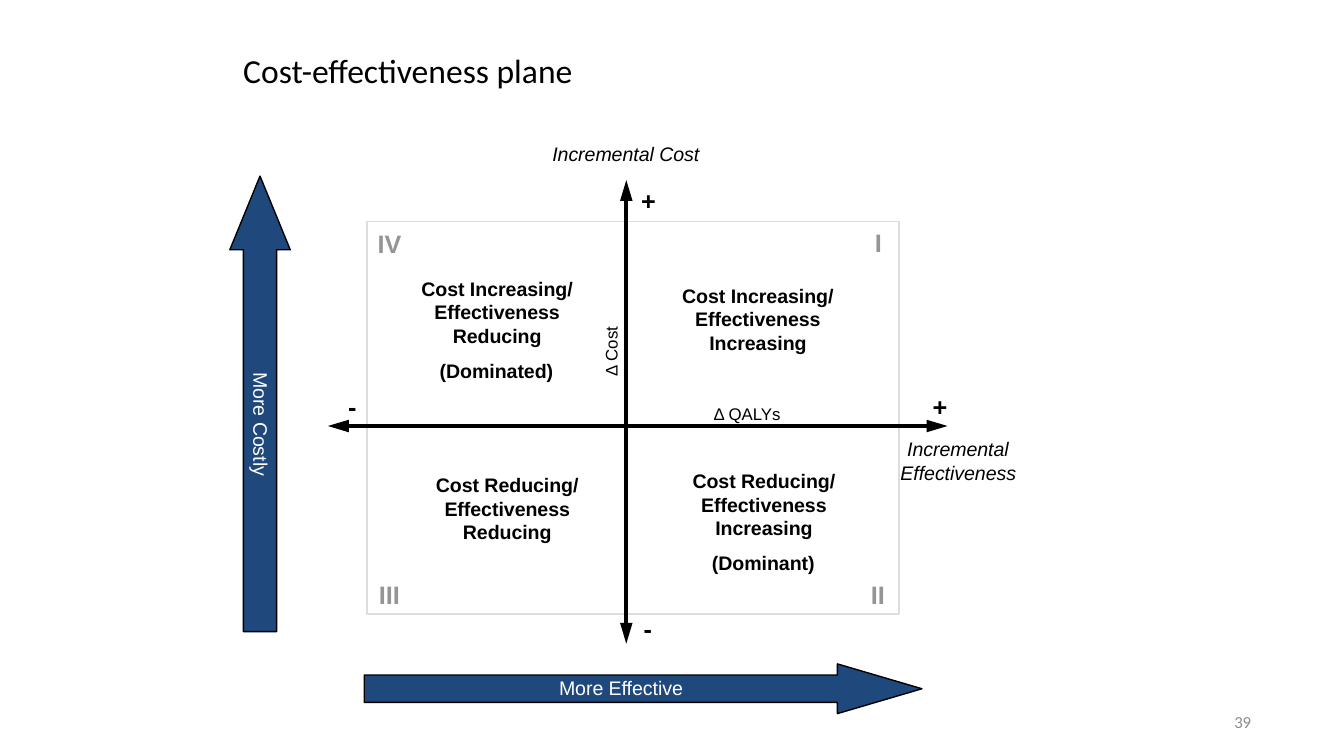
import dataclasses

import lxml.etree
import pptx
import pptx.dml.color
import pptx.enum.shapes
import pptx.enum.text
import pptx.oxml.ns
import pptx.util

Inches = pptx.util.Inches
Align = pptx.enum.text.PP_ALIGN
Shape = pptx.enum.shapes.MSO_SHAPE


@dataclasses.dataclass(frozen=True)
class Style:
    """Look of one kind of text."""
    size: float
    color: str = "000000"
    bold: bool = False
    italic: bool = False
    font: str = "Arial"


@dataclasses.dataclass(frozen=True)
class Theme:
    """Colours, line widths and text styles of the slide."""
    ink: str = "000000"
    frame: str = "DDDDDD"
    arrow: str = "1F487C"
    thin: float = 0.75
    axis: float = 2.25
    title: Style = Style(18, font="Calibri")
    page: Style = Style(9, "8C8C8C", font="Calibri")
    sign: Style = Style(13.5, bold=True)
    numeral: Style = Style(13.5, "959595", bold=True)
    outcome: Style = Style(10.5, bold=True)
    axis_name: Style = Style(10.5, italic=True)
    delta: Style = Style(9)
    direction: Style = Style(10.5, "FFFFFF")


@dataclasses.dataclass(frozen=True)
class Box:
    """Rectangle in inches."""
    left: float
    top: float
    width: float
    height: float

    def inner(self, x, y, width, height):
        """Return a box placed relative to this one."""
        return Box(self.left + x, self.top + y, width, height)

    def lengths(self):
        """Return the four lengths for a shape call."""
        return [Inches(value) for value in dataclasses.astuple(self)]


@dataclasses.dataclass(frozen=True)
class Line:
    """One paragraph with its style, spacing and indents."""
    text: str
    style: Style
    before: float = 1.1
    left: float = 0.01
    first: float = 0
    align: Align = Align.LEFT


THEME = Theme()


def rgb(color):
    """Turn a hex string into a colour."""
    return pptx.dml.color.RGBColor.from_string(color)


def write(frame, lines, anchor=pptx.enum.text.MSO_ANCHOR.TOP, inset=0.01):
    """Fill a text frame with formatted paragraphs."""
    frame.text = "\n".join(line.text for line in lines)
    frame.word_wrap = True
    frame.vertical_anchor = anchor
    frame.margin_left = frame.margin_right = frame.margin_bottom = 0
    frame.margin_top = Inches(inset)
    for paragraph, line in zip(frame.paragraphs, lines):
        paragraph.alignment = line.align
        paragraph.space_before = pptx.util.Pt(line.before)
        indents = paragraph._p.get_or_add_pPr()
        indents.set("marL", str(Inches(line.left)))
        indents.set("indent", str(Inches(line.first)))
        for run in paragraph.runs:
            run.font.name = line.style.font
            run.font.size = pptx.util.Pt(line.style.size)
            run.font.bold = line.style.bold
            run.font.italic = line.style.italic
            run.font.color.rgb = rgb(line.style.color)


def add_label(slide, box, *lines, vert=None):
    """Add a text box, turned sideways when vert is given."""
    frame = slide.shapes.add_textbox(*box.lengths()).text_frame
    write(frame, lines, inset=0 if vert else 0.01)
    if vert:
        frame._txBody.bodyPr.set("vert", vert)


def add_axis(slide, box):
    """Draw a double-headed axis from one corner of the box to the other."""
    axis = slide.shapes.add_connector(
        pptx.enum.shapes.MSO_CONNECTOR.STRAIGHT,
        Inches(box.left), Inches(box.top),
        Inches(box.left + box.width), Inches(box.top + box.height))
    axis.line.color.rgb = rgb(THEME.ink)
    axis.line.width = pptx.util.Pt(THEME.axis)
    properties = axis._element.spPr
    outline = properties.find(pptx.oxml.ns.qn("a:ln"))
    for end in ("a:headEnd", "a:tailEnd"):
        lxml.etree.SubElement(outline, pptx.oxml.ns.qn(end), type="triangle", w="med", len="lg")
    lxml.etree.SubElement(properties, pptx.oxml.ns.qn("a:effectLst"))


def add_title(slide, box):
    """Place the slide title."""
    title = slide.shapes.title
    title.left, title.top, title.width, title.height = box.lengths()
    write(title.text_frame, [Line("Cost-effectiveness plane", THEME.title, 1)],
          pptx.enum.text.MSO_ANCHOR.MIDDLE)


def add_plane(slide, box):
    """Draw the framed plane with its axes, signs and quadrants."""
    frame = slide.shapes.add_shape(Shape.RECTANGLE, *box.lengths())
    frame.shadow.inherit = False
    frame.fill.background()
    frame.line.color.rgb = rgb(THEME.frame)
    frame.line.width = pptx.util.Pt(THEME.thin)

    add_axis(slide, box.inner(-0.29, 1.52, 4.61, 0))
    add_axis(slide, box.inner(1.93, -0.31, 0, 3.45))

    add_label(slide, box.inner(3.96, 1.25, 0.9, 0.72),
              Line("+", THEME.sign, left=0.25),
              Line("Incremental Effectiveness", THEME.axis_name, 8.4, first=0.05))
    add_label(slide, box.inner(1.37, -0.6, 1.13, 0.57),
              Line("Incremental Cost", THEME.axis_name),
              Line("+", THEME.sign, 10.2, 0.67))
    for x, y in ((2.05, 2.9), (-0.15, 1.25)):
        add_label(slide, box.inner(x, y, 0.09, 0.25), Line("-", THEME.sign))

    quadrants = (
        ("I", (3.77, 0.03, 0.08), (2.32, 0.45, 1.17), "Cost Increasing/ Effectiveness Increasing", None),
        ("II", (3.74, 2.65, 0.13), (2.4, 1.83, 1.1), "Cost Reducing/ Effectiveness Increasing", "(Dominant)"),
        ("III", (0.08, 2.65, 0.18), (0.49, 1.86, 1.1), "Cost Reducing/ Effectiveness Reducing", None),
        ("IV", (0.07, 0.04, 0.2), (0.38, 0.4, 1.17), "Cost Increasing/ Effectiveness Reducing", "(Dominated)"),
    )
    for numeral, numeral_place, outcome_place, outcome, verdict in quadrants:
        add_label(slide, box.inner(*numeral_place, 0.25), Line(numeral, THEME.numeral))
        lines = [Line(outcome, THEME.outcome, align=Align.CENTER)]
        if verdict:
            lines.append(Line(verdict, THEME.outcome, 6.3, 0, align=Align.CENTER))
        add_label(slide, box.inner(*outcome_place, 0.82 if verdict else 0.55), *lines)

    add_label(slide, box.inner(1.74, 0.75, 0.17, 0.41),
              Line("Δ Cost", THEME.delta, 0.1), vert="vert270")
    add_label(slide, box.inner(2.57, 1.34, 0.54, 0.18), Line("Δ QALYs", THEME.delta, 1))


def add_direction(slide, box, kind, shaft, head, text, place, vert=None):
    """Draw a block arrow with its caption."""
    arrow = slide.shapes.add_shape(kind, *box.lengths())
    arrow.adjustments[0] = shaft
    arrow.adjustments[1] = head
    arrow.shadow.inherit = False
    arrow.fill.solid()
    arrow.fill.fore_color.rgb = rgb(THEME.arrow)
    arrow.line.color.rgb = rgb(THEME.ink)
    arrow.line.width = pptx.util.Pt(THEME.thin)
    add_label(slide, box.inner(*place), Line(text, THEME.direction), vert=vert)


def add_page_number(slide, box):
    """Write the page number at the right edge of the box."""
    frame = slide.shapes.add_textbox(*box.lengths()).text_frame
    write(frame, [Line("39", THEME.page, 0, 0.04, align=Align.RIGHT)],
          pptx.enum.text.MSO_ANCHOR.MIDDLE, 0)


def main():
    """Build and save the slide."""
    deck = pptx.Presentation()
    deck.slide_width = Inches(10)
    deck.slide_height = deck.slide_width * 9 // 16
    slide = deck.slides.add_slide(deck.slide_layouts.get_by_name("Title Only"))
    add_title(slide, Box(1.8, 0.35, 2.97, 0.33))
    add_plane(slide, Box(2.73, 1.65, 3.96, 2.92))
    add_direction(slide, Box(1.71, 1.31, 0.45, 3.39), Shape.UP_ARROW, 0.55, 1.22,
                  "More Costly", (0.13, 1.45, 0.19, 0.81), "vert")
    add_direction(slide, Box(2.71, 4.94, 4.15, 0.37), Shape.RIGHT_ARROW, 0.55, 1.7,
                  "More Effective", (1.44, 0.08, 0.96, 0.2))
    add_page_number(slide, Box(7.06, 5.22, 2.25, 0.3))
    deck.save("out.pptx")


if __name__ == "__main__":
    main()
